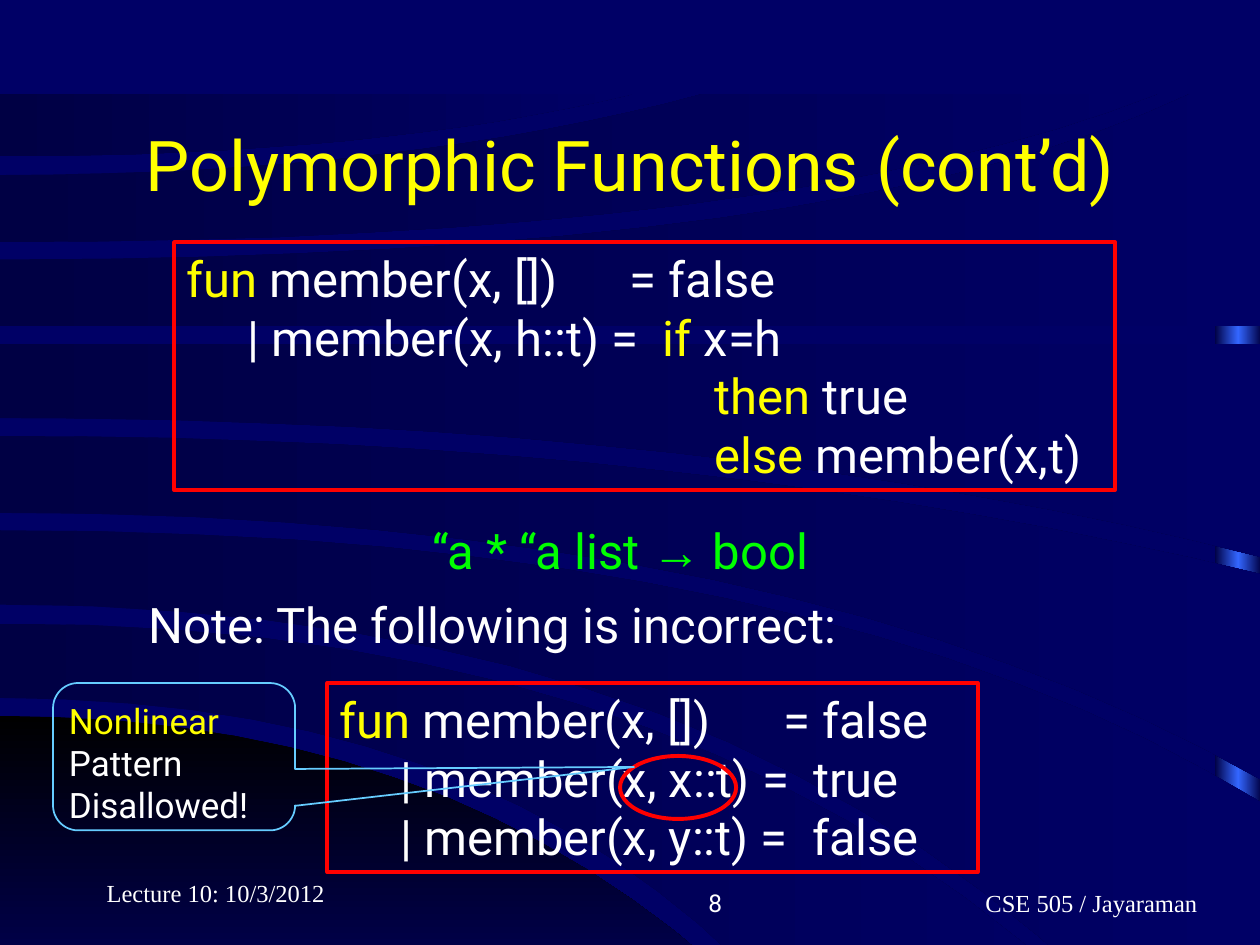
from copy import deepcopy
from dataclasses import dataclass

from lxml import etree
from pptx import Presentation
from pptx.dml.color import RGBColor
from pptx.enum.shapes import MSO_SHAPE
from pptx.enum.text import MSO_ANCHOR, PP_ALIGN
from pptx.oxml.ns import qn
from pptx.util import Cm, Pt

LEFT, CENTER, RIGHT = PP_ALIGN.LEFT, PP_ALIGN.CENTER, PP_ALIGN.RIGHT
TOP, MIDDLE, BOTTOM = MSO_ANCHOR.TOP, MSO_ANCHOR.MIDDLE, MSO_ANCHOR.BOTTOM
RECTANGLE, ELLIPSE = MSO_SHAPE.RECTANGLE, MSO_SHAPE.OVAL
CALLOUT = MSO_SHAPE.ROUNDED_RECTANGULAR_CALLOUT

COLORS = {
    "navy": "000066", "midnight": "000044", "black": "000000", "blue": "3366FF",
    "yellow": "FFFF00", "white": "FFFFFF", "green": "00FF00",
    "red": "FF0000", "sky": "66CCFF",
}
BODY_FONT, FOOTER_FONT, ARROW_FONT = "Roboto", "Times New Roman", "Arial"
CURVE_STEPS = 16


@dataclass
class Segment:
    text: str
    color: str = "white"
    font: str = BODY_FONT


@dataclass
class TextBlock:
    box: tuple[float, float, float, float]
    lines: list[list[Segment]]
    size: int = 28
    align: PP_ALIGN = LEFT
    anchor: MSO_ANCHOR = TOP
    tab_stop: float = 0
    outline: str = ""


@dataclass
class Edge:
    """Parabola that leaves the left slide edge horizontally, in centimetres."""
    start_y: float
    bend_x: float
    end_x: float
    end_y: float

    def points(self) -> list[tuple[float, float]]:
        result = []
        for step in range(CURVE_STEPS + 1):
            t = step / CURVE_STEPS
            x = 2 * t * (1 - t) * self.bend_x + t * t * self.end_x
            y = self.start_y + t * t * (self.end_y - self.start_y)
            result.append((x, y))
        return result


@dataclass
class Band:
    upper: Edge
    lower: Edge
    corner: tuple[float, ...] = ()
    start: str = "midnight"
    angle: int = 0


# Background sweeps, from the floor upwards
BANDS = [
    Band(Edge(14.43, 10, 15.98, 21), Edge(21, 8, 15.98, 21), start="black", angle=270),
    Band(Edge(12.57, 14.73, 22.7, 20.96), Edge(14.07, 10.82, 16.33, 20.96)),
    Band(Edge(10.69, 16.5, 25.43, 16.18), Edge(12.19, 15, 23.1, 20.96), (25.43, 20.96)),
    Band(Edge(8.79, 13.97, 25.43, 11.58), Edge(10.34, 16, 25.43, 15.72)),
    Band(Edge(6.93, 12.7, 25.43, 6.93), Edge(8.43, 14.5, 25.43, 11.23)),
    Band(Edge(5.23, 17, 23.98, 1.9), Edge(6.58, 12.7, 25.43, 6.58), (25.43, 1.9)),
    Band(Edge(3.53, 8.13, 14.15, 1.9), Edge(4.88, 15.75, 23.32, 1.9)),
    Band(Edge(1.9, 6.4, 12.75, 1.9), Edge(3.15, 7.6, 12.75, 1.9)),
]

EMPTY_LIST_CASE = [Segment("fun", "yellow"), Segment(" member(x, [])      = false")]

FOOTERS = [
    TextBlock((16.71, 17.35, 8.05, 1.27), [[Segment("\tCSE 505 / Jayaraman", font=FOOTER_FONT)]],
              14, CENTER, BOTTOM, tab_stop=2.54),
    TextBlock((9.53, 17.35, 5.28, 1.27), [[Segment("8")]], 14, RIGHT, BOTTOM),
    TextBlock((1.9, 17.15, 5.28, 1.27), [[Segment("Lecture 10: 10/3/2012", font=FOOTER_FONT)]],
              14, LEFT, BOTTOM),
]
CONTENT = [
    TextBlock((1.9, 1.7, 21.6, 3.18), [[Segment("Polymorphic Functions (cont’d)", "yellow")]],
              40, CENTER, MIDDLE),
    TextBlock((3.51, 4.88, 18.97, 5), [
        EMPTY_LIST_CASE,
        [Segment("     | member(x, h::t) =  "), Segment("if", "yellow"), Segment(" x=h")],
        [Segment("\t  "), Segment("then", "yellow"), Segment(" true")],
        [Segment("\t  "), Segment("else", "yellow"), Segment(" member(x,t)")],
    ], tab_stop=10.16, outline="red"),
    TextBlock((8.46, 10.36, 8.51, 1.45), [[
        Segment("‘‘a * “a list ", "green"), Segment("→", "green", ARROW_FONT),
        Segment(" bool", "green")]]),
    TextBlock((2.74, 11.86, 15.19, 1.45), [[Segment("Note: The following is incorrect:")]]),
    TextBlock((6.6, 13.77, 13.11, 3.81), [
        EMPTY_LIST_CASE,
        [Segment("     | member(x, x::t) =  true")],
        [Segment("     | member(x, y::t) =  false")],
    ], outline="red"),
]
CALLOUT_TEXT = TextBlock((1.14, 13.97, 4.32, 2.79), [
    [Segment("Nonlinear", "yellow")], [Segment("Pattern")], [Segment("Disallowed!")]], 20)


def rgb(name: str) -> RGBColor:
    return RGBColor.from_string(COLORS[name])


def set_gradient(shape, start: str, end: str, angle: int = 0) -> None:
    shape.shadow.inherit = False
    shape.line.fill.background()
    shape.fill.gradient()
    shape.fill.gradient_angle = angle
    for stop, color, position in zip(shape.fill.gradient_stops, (start, end), (0, 1)):
        stop.color.rgb = rgb(color)
        stop.position = position


def add_band(slide, band: Band) -> None:
    corners = [band.corner] if band.corner else []
    outline = band.upper.points() + corners + band.lower.points()[::-1]
    vertices = [(round(x * 100), round(y * 100)) for x, y in outline]
    builder = slide.shapes.build_freeform(*vertices[0], scale=Cm(0.01))
    builder.add_line_segments(vertices[1:], close=True)
    set_gradient(builder.convert_to_shape(), band.start, "navy", band.angle)


def add_edge_glow(slide) -> None:
    shape = slide.shapes.add_shape(RECTANGLE, Cm(24.49), Cm(1.96), Cm(0.94), Cm(19.05))
    set_gradient(shape, "midnight", "midnight")
    # Insert the bright middle stop
    stop_list = shape._element.spPr.find(qn("a:gradFill")).find(qn("a:gsLst"))
    stop_list.insert(1, deepcopy(stop_list[0]))
    middle = shape.fill.gradient_stops[1]
    middle.color.rgb = rgb("blue")
    middle.position = 0.5


def add_outline(slide, kind: MSO_SHAPE, box: tuple, color: str, width: float):
    shape = slide.shapes.add_shape(kind, *map(Cm, box))
    shape.shadow.inherit = False
    shape.fill.background()
    shape.line.color.rgb = rgb(color)
    shape.line.width = Pt(width)
    return shape


def add_text(slide, block: TextBlock) -> None:
    if block.outline:
        shape = add_outline(slide, RECTANGLE, block.box, block.outline, 2.25)
    else:
        shape = slide.shapes.add_textbox(*map(Cm, block.box))
    text_frame = shape.text_frame
    text_frame.word_wrap = True
    text_frame.vertical_anchor = block.anchor
    for index, line in enumerate(block.lines):
        paragraph = text_frame.add_paragraph() if index else text_frame.paragraphs[0]
        paragraph.alignment = block.align
        if block.tab_stop:
            tabs = etree.SubElement(paragraph._p.get_or_add_pPr(), qn("a:tabLst"))
            etree.SubElement(tabs, qn("a:tab"), pos=str(Cm(block.tab_stop)), algn="l")
        for segment in line:
            run = paragraph.add_run()
            run.text = segment.text
            run.font.size = Pt(block.size)
            run.font.name = segment.font
            run.font.color.rgb = rgb(segment.color)


def main() -> None:
    presentation = Presentation()
    presentation.slide_width, presentation.slide_height = Cm(25.4), Cm(19.05)
    slide = presentation.slides.add_slide(presentation.slide_layouts[6])

    # Background
    slide.background.fill.solid()
    slide.background.fill.fore_color.rgb = rgb("navy")
    add_edge_glow(slide)
    for band in BANDS:
        add_band(slide, band)

    # Title, code boxes and footers
    for block in FOOTERS + CONTENT:
        add_text(slide, block)

    # Marked pattern and its callout
    add_outline(slide, ELLIPSE, (12.5, 15.24, 2.34, 1.27), "red", 2.25)
    callout = add_outline(slide, CALLOUT, (1.07, 13.77, 4.88, 2.97), "sky", 1)
    for index, value in enumerate((1.9, 0.07, 0.17)):
        callout.adjustments[index] = value
    add_text(slide, CALLOUT_TEXT)

    presentation.save("out.pptx")


if __name__ == "__main__":
    main()
